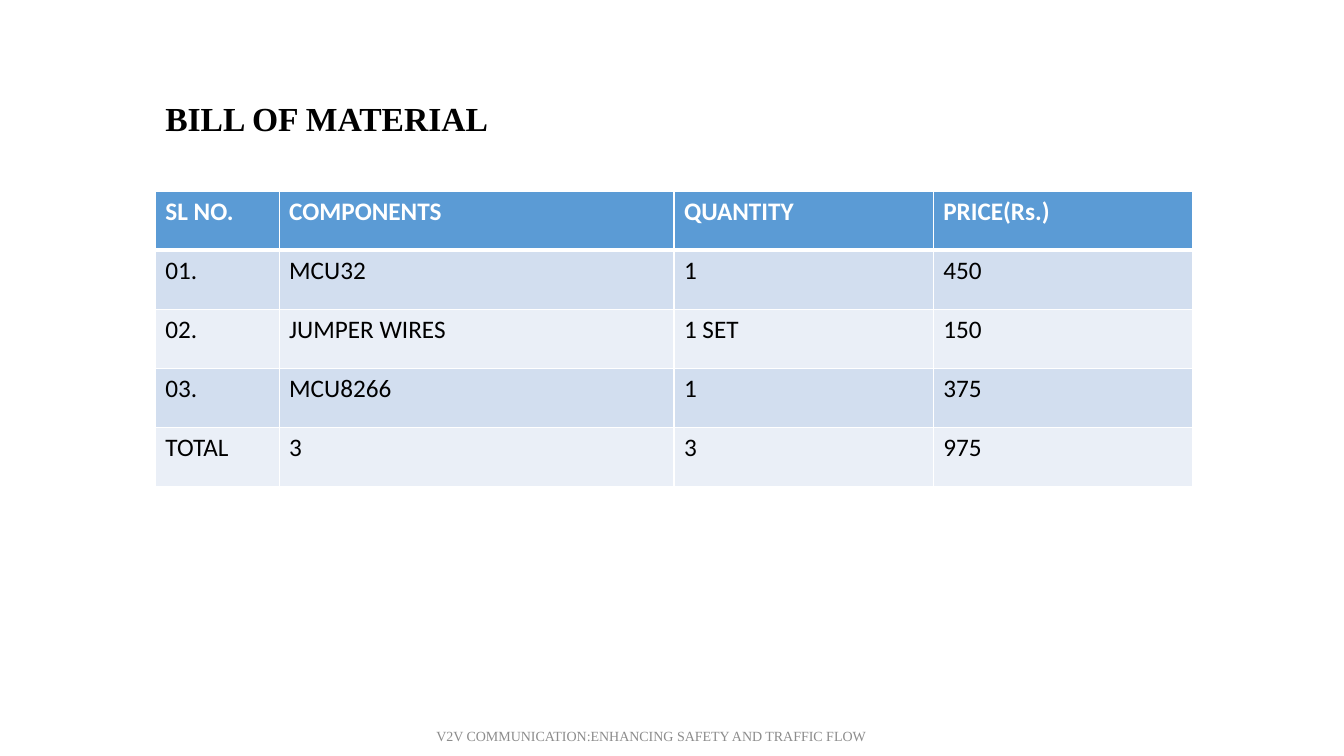
from pptx import Presentation
from pptx.dml.color import RGBColor
from pptx.enum.text import MSO_ANCHOR, PP_ALIGN
from pptx.oxml.ns import qn
from pptx.util import Pt
from lxml import etree

TOP, MIDDLE = MSO_ANCHOR.TOP, MSO_ANCHOR.MIDDLE
LEFT, CENTER = PP_ALIGN.LEFT, PP_ALIGN.CENTER

COLORS = {
    "black": "000000",
    "white": "FFFFFF",
    "header": "5B9BD5",
    "odd": "D2DEEF",
    "even": "EAEFF7",
    "footer": "8C8C8C",
}


def write(tf, text, size, font, color, bold=False, align=LEFT):
    p = tf.paragraphs[0]
    p.text = text
    p.alignment = align
    p.font.size = Pt(size)
    p.font.name = font
    p.font.bold = bold
    p.font.color.rgb = RGBColor.from_string(COLORS[color])


def add_border(cell, side, width):
    tcPr = cell._tc.get_or_add_tcPr()
    ln = etree.SubElement(tcPr, qn(f"a:ln{side}"), w=str(Pt(width)))
    fill = etree.SubElement(ln, qn("a:solidFill"))
    etree.SubElement(fill, qn("a:srgbClr"), val=COLORS["white"])


prs = Presentation()
prs.slide_width, prs.slide_height = Pt(960), Pt(540)
s = prs.slides.add_slide(prs.slide_layouts[6])

text_boxes = [
    ("BILL OF MATERIAL", (111, 66.2, 396, 36), 24, "black", True, LEFT, TOP),
    ("V2V COMMUNICATION:ENHANCING SAFETY AND TRAFFIC FLOW",
     (303, 511.2, 324, 28.8), 10, "footer", False, CENTER, MIDDLE),
]
for text, box, size, color, bold, align, anchor in text_boxes:
    tf = s.shapes.add_textbox(*map(Pt, box)).text_frame
    tf.word_wrap = True
    tf.vertical_anchor = anchor
    write(tf, text, size, "Times New Roman", color, bold, align)

rows = [
    ("SL NO.", "COMPONENTS", "QUANTITY", "PRICE(Rs.)"),
    ("01.", "MCU32", "1", "450"),
    ("02.", "JUMPER WIRES", "1 SET", "150"),
    ("03.", "MCU8266", "1", "375"),
    ("TOTAL", "3", "3", "975"),
]
col_widths = [88.4, 282, 185.2, 185.2]
row_height = 42.3

table = s.shapes.add_table(
    len(rows), len(col_widths), Pt(111), Pt(136.4),
    Pt(sum(col_widths)), Pt(row_height * len(rows))).table
for col, width in zip(table.columns, col_widths):
    col.width = Pt(width)

for i, values in enumerate(rows):
    table.rows[i].height = Pt(row_height)
    header = i == 0
    fill = "header" if header else "odd" if i % 2 else "even"
    for j, value in enumerate(values):
        cell = table.cell(i, j)
        write(cell.text_frame, value, 18, "Calibri",
              "white" if header else "black", header)
        for side in "LRTB":
            thick = (i, side) in [(0, "B"), (1, "T")]
            add_border(cell, side, 3 if thick else 1)
        cell.fill.solid()
        cell.fill.fore_color.rgb = RGBColor.from_string(COLORS[fill])

prs.save("out.pptx")
